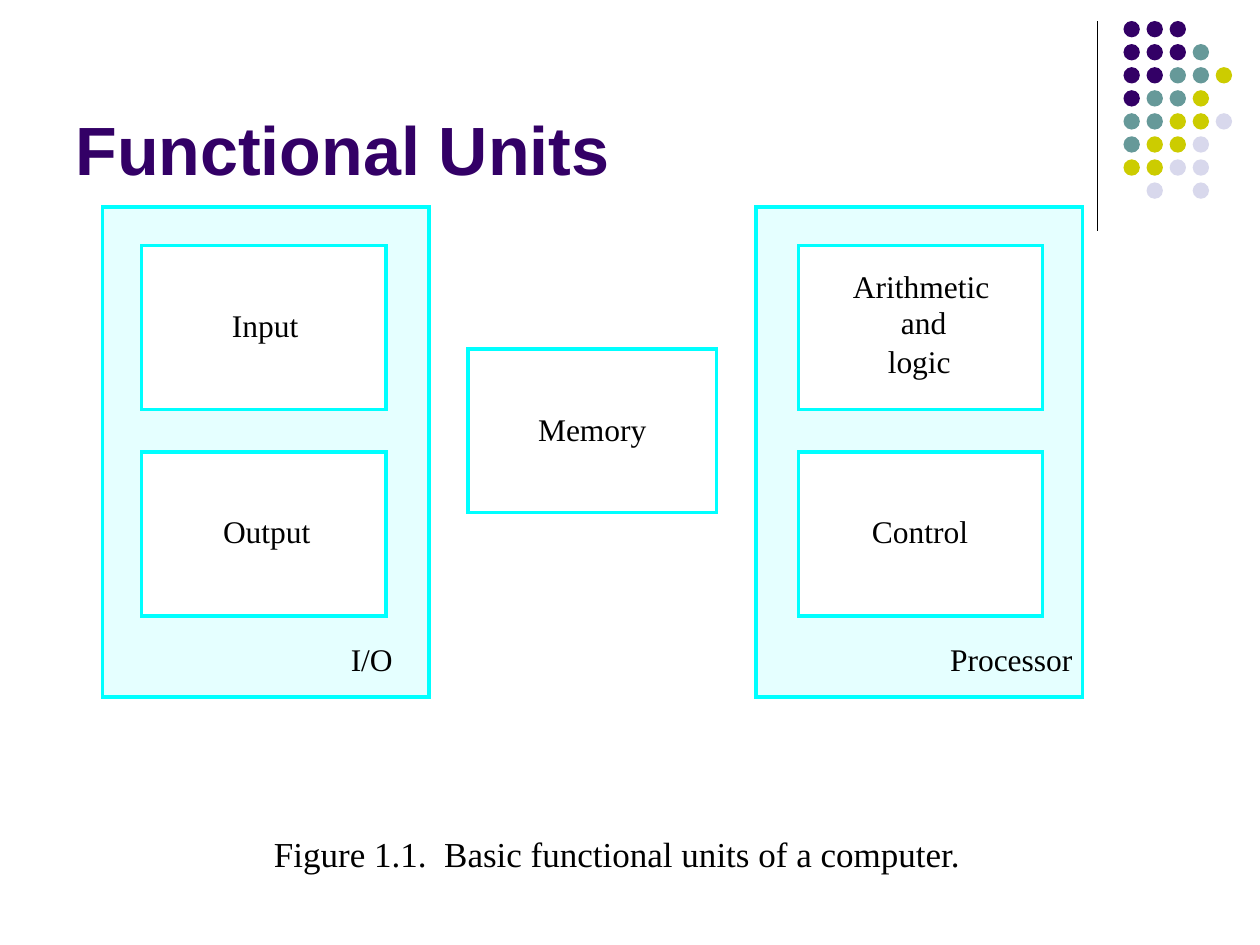
import dataclasses

import lxml.etree
import pptx
import pptx.dml.color
import pptx.enum.shapes
import pptx.enum.text
import pptx.oxml.ns
import pptx.util

SHAPE = pptx.enum.shapes.MSO_SHAPE
ANCHOR = pptx.enum.text.MSO_ANCHOR
FIT = pptx.enum.text.MSO_AUTO_SIZE


@dataclasses.dataclass(frozen=True)
class Theme:
    """Colours, fonts, type sizes in points and the page grid."""
    ink: str = "000000"
    title: str = "330066"
    panel: str = "E5FFFF"
    unit: str = "FFFFFF"
    border: str = "00FFFF"
    dots: tuple = ("330066", "669999", "CCCC00", "D8D8EC")
    title_font: str = "Arial"
    body_font: str = "Times New Roman"
    title_size: int = 39
    caption_size: int = 20
    label_size: int = 18
    border_width: float = 2
    rule_width: float = 0.75
    columns: int = 100
    rows: int = 75
    slack: float = 0.5


def rgb(colour):
    """Turn a hex string into a colour value."""
    return pptx.dml.color.RGBColor.from_string(colour)


class Diagram:
    """Draws elements on a page with one theme, in grid columns and rows."""

    def __init__(self, deck, theme):
        """Add a blank page to the deck."""
        self.theme = theme
        self.page = deck.slides.add_slide(deck.slide_layouts[6])
        self.column = deck.slide_width / theme.columns
        self.row = deck.slide_height / theme.rows

    def place(self, across, down):
        """Convert a column and a row into lengths."""
        return round(across * self.column), round(down * self.row)

    def shape(self, owner, kind, area, fill, border=None):
        """Draw a filled preset shape with an optional square-cornered border."""
        shape = owner.shapes.add_shape(kind, *self.place(*area[:2]), *self.place(*area[2:]))
        shape.shadow.inherit = False
        shape.fill.solid()
        shape.fill.fore_color.rgb = rgb(fill)
        if border:
            shape.line.color.rgb = rgb(border)
            shape.line.width = pptx.util.Pt(self.theme.border_width)
            outline = shape._element.spPr.find(pptx.oxml.ns.qn("a:ln"))
            lxml.etree.SubElement(outline, pptx.oxml.ns.qn("a:miter"), lim="800000")
        else:
            shape.line.fill.background()

    def block(self, area, fill):
        """Draw a bordered rectangle."""
        self.shape(self.page, SHAPE.RECTANGLE, area, fill, self.theme.border)

    def rule(self, start, end):
        """Draw a thin straight line."""
        rule = self.page.shapes.add_connector(
            pptx.enum.shapes.MSO_CONNECTOR.STRAIGHT, *self.place(*start), *self.place(*end))
        rule.line.color.rgb = rgb(self.theme.ink)
        rule.line.width = pptx.util.Pt(self.theme.rule_width)
        properties = rule._element.spPr
        lxml.etree.SubElement(properties, pptx.oxml.ns.qn("a:effectLst"))

    def dots(self, corner, step, size, pattern):
        """Draw a group of dots from rows of colour numbers."""
        group = self.page.shapes.add_group_shape()
        for down, line in enumerate(pattern):
            for across, mark in enumerate(line):
                if mark != ".":
                    area = (corner[0] + across * step, corner[1] + down * step, size, size)
                    self.shape(group, SHAPE.OVAL, area, self.theme.dots[int(mark)])

    def text(self, words, area, frame_format, font_format):
        """Write one line of text."""
        box = self.page.shapes.add_textbox(*self.place(*area[:2]), *self.place(*area[2:]))
        frame = box.text_frame
        for name, value in frame_format.items():
            setattr(frame, name, value)
        span = frame.paragraphs[0].add_run()
        span.text = words
        for name, value in font_format.items():
            setattr(span.font, name, value)
        span.font.color.rgb = rgb(self.theme.title if span.font.bold else self.theme.ink)

    def title(self, words, area):
        """Write the page title."""
        self.text(words, area, {"word_wrap": True, "vertical_anchor": ANCHOR.BOTTOM},
                  {"name": self.theme.title_font, "bold": True,
                   "size": pptx.util.Pt(self.theme.title_size)})

    def label(self, words, area, size):
        """Write a tight line of body text with a little spare width."""
        left, top, width, height = area
        margins = {f"margin_{side}": 0 for side in ("left", "top", "right", "bottom")}
        self.text(words, (left, top, width + self.theme.slack, height),
                  {**margins, "word_wrap": False, "auto_size": FIT.NONE},
                  {"name": self.theme.body_font, "size": pptx.util.Pt(size)})


def main():
    """Build the functional units page."""
    deck = pptx.Presentation()
    deck.slide_width, deck.slide_height = pptx.util.Inches(10), pptx.util.Inches(7.5)
    theme = Theme()
    diagram = Diagram(deck, theme)

    diagram.rule((87.1, 1.7), (87.1, 18.3))
    diagram.dots((89.17, 1.67), 1.83, 1.3, (
        "000", "0001", "00112", "0112", "11223", "1223", "2233", ".3.3"))
    diagram.title("Functional Units", (5, 1.3, 82.5, 14.2))

    for panel_left, unit_left in ((8.14, 11.24), (60, 63.36)):
        diagram.block((panel_left, 16.42, 25.9, 38.9), theme.panel)
        for unit_top in (19.5, 35.88):
            diagram.block((unit_left, unit_top, 19.4, 13), theme.unit)
    diagram.block((37.16, 27.7, 19.7, 13), theme.unit)

    labels = (
        ("Input", 18.4, 24.3, 5.3),
        ("Output", 17.7, 40.65, 7),
        ("I/O", 27.84, 50.8, 3.3),
        ("Memory", 42.7, 32.54, 8.6),
        ("Arithmetic", 67.7, 21.2, 10.8),
        ("and", 71.5, 24.04, 3.6),
        ("logic", 70.46, 27.14, 5),
        ("Control", 69.2, 40.65, 7.6),
        ("Processor", 75.4, 50.8, 9.7),
    )
    for words, left, top, width in labels:
        diagram.label(words, (left, top, width, 3), theme.label_size)
    diagram.label("Figure 1.1.  Basic functional units of a computer.",
                  (21.74, 66.04, 54.7, 3.3), theme.caption_size)

    deck.save("out.pptx")


if __name__ == "__main__":
    main()
